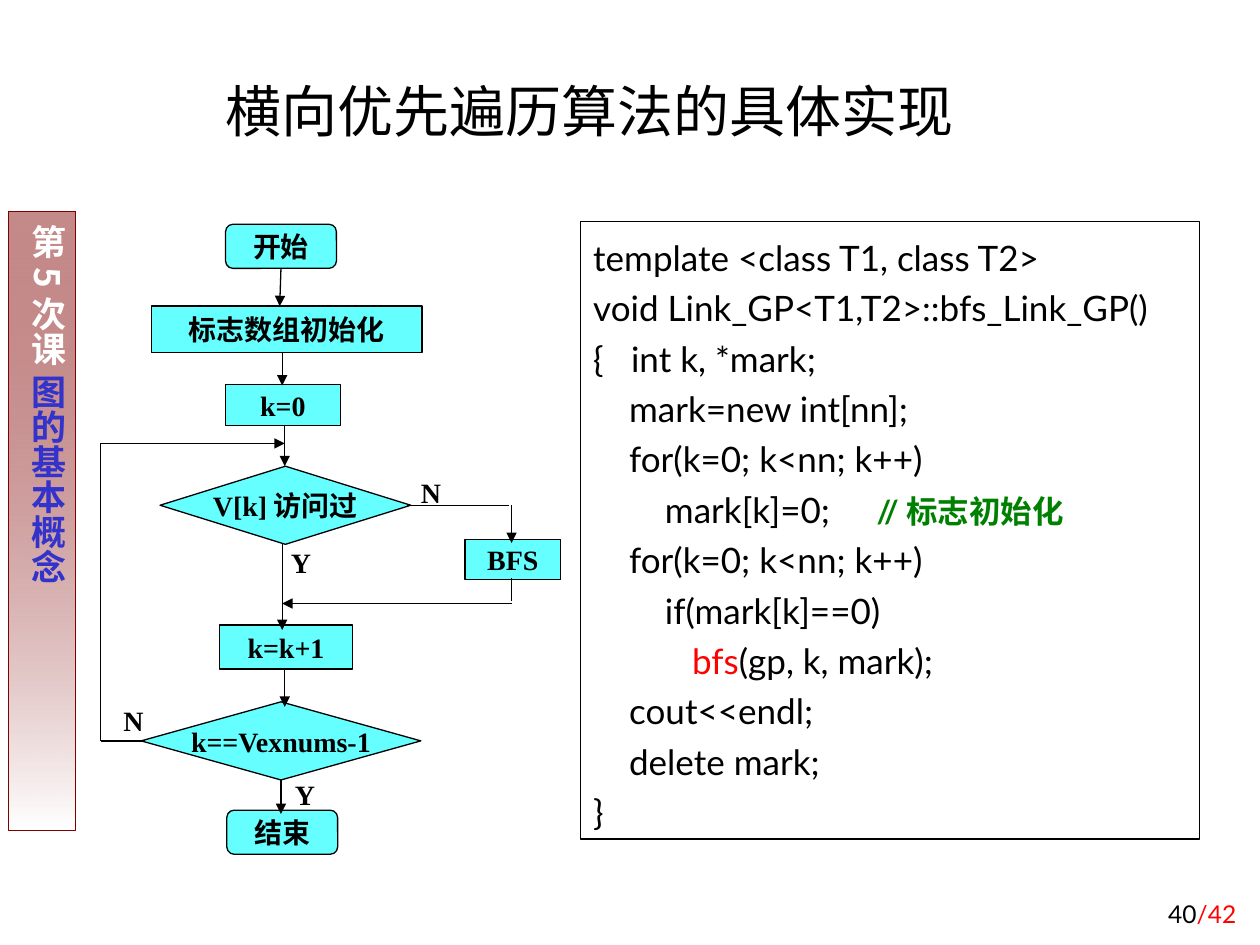
from lxml.etree import SubElement
from pptx import Presentation
from pptx.dml.color import RGBColor
from pptx.enum.shapes import MSO_CONNECTOR, MSO_SHAPE as SHAPE
from pptx.enum.text import MSO_ANCHOR as ANCHOR, PP_ALIGN as ALIGN
from pptx.oxml.ns import qn
from pptx.util import Inches, Pt

COLORS = {
    "black": "000000", "white": "FFFFFF", "red": "FF0000", "maroon": "800000",
    "blue": "3333CC", "green": "008000", "cyan": "66FFFF",
}
RGB = {name: RGBColor.from_string(value) for name, value in COLORS.items()}
CJK, SANS, SERIF = "Noto Sans CJK SC", "Lato", "Times New Roman"


def add_run(paragraph, text, size, font_name, color="black", bold=False):
    run = paragraph.add_run()
    run.text = text
    font = run.font
    font.size, font.name, font.bold = Pt(size), font_name, bold
    font.color.rgb = RGB[color]
    SubElement(run._r.get_or_add_rPr(), qn("a:ea"), typeface=CJK)


def prepare_frame(shape, anchor, align, wrap=True):
    """Set anchor, wrap and alignment, and return the first paragraph."""
    frame = shape.text_frame
    frame.vertical_anchor, frame.word_wrap = anchor, wrap
    frame.paragraphs[0].alignment = align
    return frame.paragraphs[0]


presentation = Presentation()
presentation.slide_width, presentation.slide_height = Inches(10), Inches(7.5)
slide = presentation.slides.add_slide(presentation.slide_layouts[6])
shapes = slide.shapes

# Sidebar with vertical text
sidebar = shapes.add_shape(SHAPE.RECTANGLE, Inches(0.07), Inches(1.68), Inches(0.53), Inches(4.91))
sidebar.shadow.inherit = False
sidebar.fill.gradient()
sidebar.fill.gradient_angle = 270
for stop, color in zip(sidebar.fill.gradient_stops, ("maroon", "white")):
    stop.color.rgb = RGB[color]
first_color = sidebar._element.spPr.find(".//" + qn("a:srgbClr"))
SubElement(first_color, qn("a:alpha"), val="46000")
sidebar.line.color.rgb = RGB["maroon"]
sidebar.line.width = Pt(0.75)
paragraph = prepare_frame(sidebar, ANCHOR.TOP, ALIGN.CENTER)
frame = sidebar.text_frame
frame.margin_left = frame.margin_right = Inches(0.05)
frame.margin_top = frame.margin_bottom = Inches(0.1)
frame._txBody.bodyPr.set("vert", "eaVert")
add_run(paragraph, "第5次课 ", 20, CJK, "white", True)
add_run(paragraph, "图的基本概念", 20, CJK, "blue", True)

# Title and page number
title = shapes.add_textbox(Inches(1.61), Inches(0.36), Inches(6.14), Inches(0.83))
paragraph = prepare_frame(title, ANCHOR.BOTTOM, ALIGN.CENTER)
add_run(paragraph, "横向优先遍历算法的具体实现", 32, SANS)

page_number = shapes.add_textbox(Inches(7.83), Inches(6.92), Inches(2.08), Inches(0.5))
paragraph = prepare_frame(page_number, ANCHOR.BOTTOM, ALIGN.RIGHT)
add_run(paragraph, "40", 14, SANS)
add_run(paragraph, "/42", 14, SANS, "red")

# Flowchart nodes
TERMINAL = SHAPE.FLOWCHART_ALTERNATE_PROCESS
PROCESS = SHAPE.FLOWCHART_PROCESS
DECISION = SHAPE.FLOWCHART_DECISION
nodes = [
    (TERMINAL, "开始", 1.79, 1.78, 0.88, 0.35),
    (PROCESS, "标志数组初始化", 1.2, 2.43, 2.15, 0.37),
    (PROCESS, "k=0", 1.79, 3.05, 0.91, 0.33),
    (DECISION, "V[k]访问过", 1.27, 3.7, 1.99, 0.62),
    (PROCESS, "BFS", 3.69, 4.28, 0.76, 0.32),
    (PROCESS, "k=k+1", 1.74, 4.96, 1.06, 0.35),
    (DECISION, "k==Vexnums-1", 1.12, 5.57, 2.22, 0.62),
    (TERMINAL, "结束", 1.8, 6.43, 0.88, 0.35),
]
for kind, text, *box in nodes:
    node = shapes.add_shape(kind, *map(Inches, box))
    node.shadow.inherit = False
    node.fill.solid()
    node.fill.fore_color.rgb = RGB["cyan"]
    node.line.color.rgb = RGB["black"]
    node.line.width = Pt(0.75)
    paragraph = prepare_frame(node, ANCHOR.MIDDLE, ALIGN.CENTER, wrap=False)
    add_run(paragraph, text, 16, SERIF, bold=True)

# Flowchart lines: start, end, arrowhead
links = [
    (2.23, 2.13, 2.22, 2.43, True),
    (2.24, 2.8, 2.24, 3.06, True),
    (2.26, 3.38, 2.26, 3.7, True),
    (2.24, 4.31, 2.24, 5, True),
    (3.23, 4.01, 4.04, 4.01, False),
    (4.06, 4.01, 4.06, 4.31, True),
    (4.06, 4.59, 4.06, 4.77, False),
    (4.06, 4.79, 2.24, 4.79, True),
    (2.26, 5.31, 2.26, 5.61, True),
    (1.15, 5.88, 0.8, 5.88, False),
    (0.8, 5.88, 0.8, 3.52, False),
    (0.8, 3.52, 2.26, 3.52, True),
    (2.23, 6.19, 2.23, 6.46, True),
]
for *ends, has_arrow in links:
    link = shapes.add_connector(MSO_CONNECTOR.STRAIGHT, *map(Inches, ends))
    link.line.color.rgb = RGB["black"]
    link.line.width = Pt(0.75)
    if has_arrow:
        SubElement(link.line._get_or_add_ln(), qn("a:tailEnd"), type="triangle")
    SubElement(link._element.spPr, qn("a:effectLst"))

# Branch labels
for text, left, top in [("N", 3.24, 3.72), ("N", 0.88, 5.53), ("Y", 2.21, 4.28), ("Y", 2.24, 6.12)]:
    label = shapes.add_textbox(Inches(left), Inches(top), Inches(0.36), Inches(0.37))
    paragraph = prepare_frame(label, ANCHOR.MIDDLE, ALIGN.CENTER, wrap=False)
    add_run(paragraph, text, 16, SERIF, bold=True)

# Code listing: each line is a list of (text, size, font, color, bold) runs
code_lines = [
    [("template <class T1, class T2>", 20, SANS)],
    [("void Link_GP<T1,T2>::bfs_Link_GP()", 20, SANS)],
    [("{\tint k, *mark;", 20, SANS)],
    [("    mark=new int[nn];", 20, SANS)],
    [("    for(k=0; k<nn; k++)", 20, SANS)],
    [("        mark[k]=0;\t", 20, SANS), ("//标志初始化", 18, SANS, "green", True)],
    [("    for(k=0; k<nn; k++)", 20, SANS)],
    [("        if(mark[k]==0)", 20, SANS)],
    [("           ", 20, SANS), ("bfs", 20, SANS, "red"), ("(gp, k, mark);", 20, SANS)],
    [("    cout<<endl;", 20, SANS)],
    [("    delete mark;", 20, SANS)],
    [("}", 20, SANS)],
]
code_box = shapes.add_textbox(Inches(4.61), Inches(1.76), Inches(4.91), Inches(4.9))
code_box.line.color.rgb = RGB["black"]
code_box.line.width = Pt(0.75)
paragraph = prepare_frame(code_box, ANCHOR.TOP, ALIGN.LEFT)
for index, runs in enumerate(code_lines):
    if index:
        paragraph = code_box.text_frame.add_paragraph()
    tab_list = SubElement(paragraph._p.get_or_add_pPr(), qn("a:tabLst"))
    for position in (0.3, 2.25):
        SubElement(tab_list, qn("a:tab"), pos=str(Inches(position)), algn="l")
    paragraph.line_spacing = 1.2
    for run in runs:
        add_run(paragraph, *run)

presentation.save("out.pptx")
